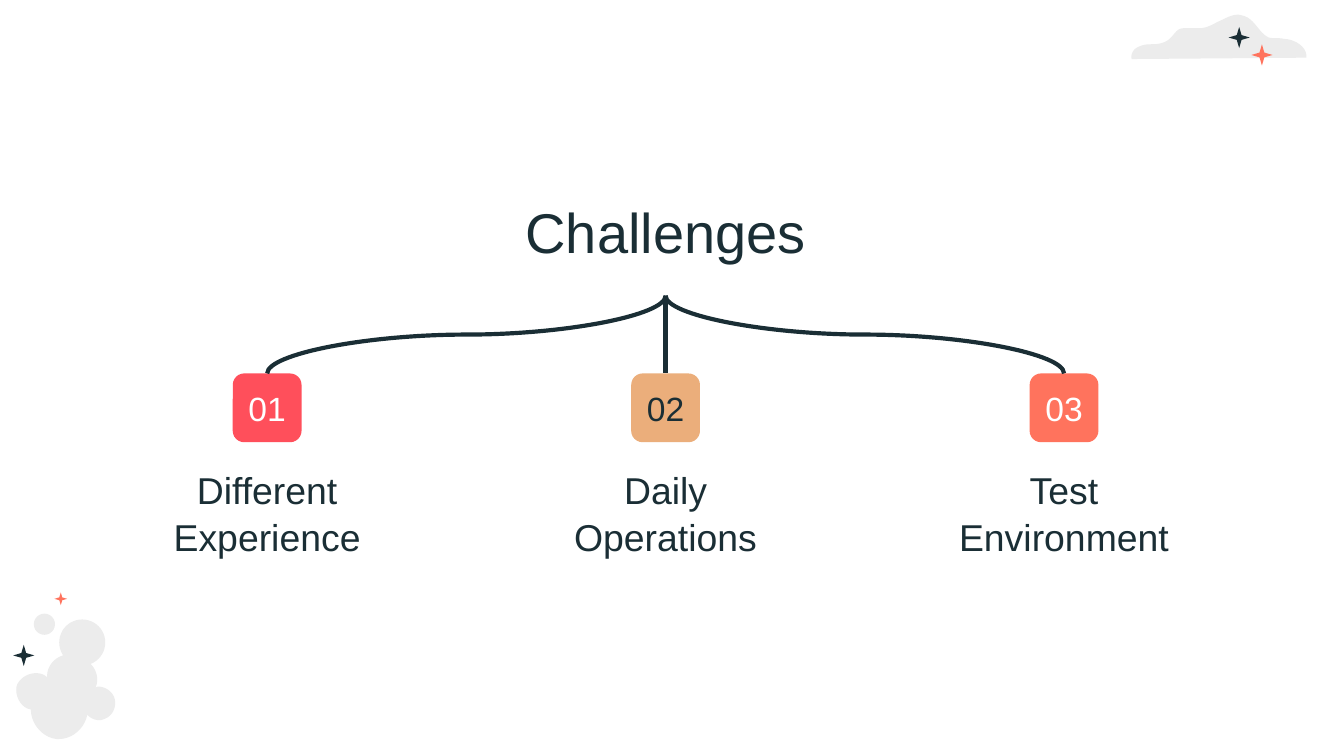
from dataclasses import dataclass

from lxml import etree
from pptx import Presentation, util as u
from pptx.dml.color import RGBColor
from pptx.enum import shapes, text
from pptx.oxml.ns import qn

COLORS = {"navy": "1A2E35", "red": "FF4F5B", "sand": "EBAE7B",
          "coral": "FF735D", "cloud": "ECECEC", "white": "FFFFFF"}
FONT = "Arial"
CENTER, PITCH = 12.58, 7.53
FORK_TOP, BADGE_TOP, BADGE_SIZE = 5.59, 7.06, 1.3
LABEL_TOP = 8.53
CLOUD_UNIT = 0.0254
CURVE_STEPS = 10


@dataclass
class Branch:
    number: str
    label: str
    fill: str
    ink: str
    width: float
    height: float


@dataclass
class Mark:
    kind: shapes.MSO_SHAPE
    left: float
    top: float
    size: float
    fill: str


@dataclass
class Cloud:
    start: tuple[int, int]
    curves: list[tuple[int, ...]]


BRANCHES = [
    Branch("01", "Different Experience", "red", "white", 6.2, 1.5),
    Branch("02", "Daily Operations", "sand", "navy", 5.46, 1.07),
    Branch("03", "Test Environment", "coral", "white", 5.46, 1.07),
]

MARKS = [
    Mark(shapes.MSO_SHAPE.OVAL, 1.12, 11.71, 0.87, "cloud"),
    Mark(shapes.MSO_SHAPE.OVAL, 0.64, 11.6, 0.4, "cloud"),
    Mark(shapes.MSO_SHAPE.STAR_4_POINT, 23.65, 0.84, 0.4, "coral"),
    Mark(shapes.MSO_SHAPE.STAR_4_POINT, 23.22, 0.51, 0.4, "navy"),
    Mark(shapes.MSO_SHAPE.STAR_4_POINT, 0.25, 12.19, 0.4, "navy"),
    Mark(shapes.MSO_SHAPE.STAR_4_POINT, 1.03, 11.2, 0.24, "coral"),
]

CLOUDS = [
    Cloud((972, 43), [
        (973, 35, 963, 29, 955, 29), (952, 28, 948, 29, 944, 28),
        (937, 25, 934, 15, 926, 12), (925, 12, 923, 11, 921, 11),
        (917, 11, 913, 13, 909, 15), (904, 17, 899, 21, 893, 21),
        (892, 21, 892, 21, 891, 21), (889, 21, 886, 21, 883, 21),
        (881, 21, 879, 21, 877, 22), (874, 24, 872, 28, 869, 30),
        (866, 32, 862, 33, 858, 33), (854, 33, 851, 33, 847, 35),
        (844, 36, 841, 40, 842, 44),
    ]),
    Cloud((51, 487), [
        (49, 487, 46, 488, 44, 489), (38, 492, 35, 498, 35, 504),
        (33, 502, 30, 501, 27, 501), (21, 501, 16, 504, 13, 509),
        (10, 516, 15, 527, 23, 528), (23, 539, 32, 549, 42, 550),
        (43, 550, 43, 550, 44, 550), (54, 550, 63, 542, 65, 532),
        (67, 534, 70, 536, 74, 536), (76, 536, 78, 535, 80, 534),
        (85, 531, 87, 524, 85, 519), (83, 514, 78, 511, 73, 511),
        (72, 511, 71, 512, 71, 512), (75, 504, 70, 493, 62, 491),
        (59, 488, 55, 487, 51, 487),
    ]),
]


def rgb(name: str) -> RGBColor:
    return RGBColor.from_string(COLORS[name])


def paint(sp, fill: str) -> None:
    sp.fill.solid()
    sp.fill.fore_color.rgb = rgb(fill)
    sp.line.fill.background()
    sp.shadow.inherit = False


def write(sp, content: str, *, size: int, color: str = "navy", inset: float = 0.25,
          anchor=text.MSO_ANCHOR.TOP, spacing: float = 1.05) -> None:
    tf = sp.text_frame
    tf.word_wrap = True
    tf.vertical_anchor = anchor
    tf.margin_left = tf.margin_right = tf.margin_top = tf.margin_bottom = u.Cm(inset)
    p = tf.paragraphs[0]
    p.alignment = text.PP_ALIGN.CENTER
    p.line_spacing = spacing
    r = p.add_run()
    r.text = content
    r.font.name = FONT
    r.font.size = u.Pt(size)
    r.font.color.rgb = rgb(color)


def add_label(s, content: str, center: float, top: float, width: float,
              height: float, size: int) -> None:
    sp = s.shapes.add_textbox(u.Cm(center - width / 2), u.Cm(top), u.Cm(width), u.Cm(height))
    write(sp, content, size=size)


def add_cloud(s, cloud: Cloud) -> None:
    points = [cloud.start]
    for x1, y1, x2, y2, x3, y3 in cloud.curves:
        x0, y0 = points[-1]
        for step in range(1, CURVE_STEPS + 1):
            t = step / CURVE_STEPS
            a, b, c, d = (1 - t) ** 3, 3 * t * (1 - t) ** 2, 3 * t * t * (1 - t), t ** 3
            points.append((a * x0 + b * x1 + c * x2 + d * x3,
                           a * y0 + b * y1 + c * y2 + d * y3))
    points = [(u.Cm(x * CLOUD_UNIT), u.Cm(y * CLOUD_UNIT)) for x, y in points]
    outline = s.shapes.build_freeform(*points[0], scale=1.0)
    outline.add_line_segments(points[1:], close=True)
    paint(outline.convert_to_shape(), "cloud")


def add_mark(s, mark: Mark) -> None:
    sp = s.shapes.add_shape(mark.kind, u.Cm(mark.left), u.Cm(mark.top),
                            u.Cm(mark.size), u.Cm(mark.size))
    if mark.kind == shapes.MSO_SHAPE.STAR_4_POINT:
        sp.adjustments[0] = 0.16
    paint(sp, mark.fill)


def add_badge(s, branch: Branch, center: float) -> None:
    sp = s.shapes.add_shape(shapes.MSO_SHAPE.ROUNDED_RECTANGLE,
                            u.Cm(center - BADGE_SIZE / 2), u.Cm(BADGE_TOP),
                            u.Cm(BADGE_SIZE), u.Cm(BADGE_SIZE))
    paint(sp, branch.fill)
    write(sp, branch.number, size=18, color=branch.ink, inset=0,
          anchor=text.MSO_ANCHOR.MIDDLE, spacing=1)


def add_fork_arm(s, target: float) -> None:
    drop, reach = BADGE_TOP - FORK_TOP, abs(target - CENTER)
    mid_x, mid_y = (CENTER + target) / 2, (FORK_TOP + BADGE_TOP) / 2
    side = -1 if target < CENTER else 1
    c = s.shapes.add_connector(
        shapes.MSO_CONNECTOR.CURVE,
        u.Cm(mid_x + side * drop / 2), u.Cm(mid_y - reach / 2),
        u.Cm(mid_x - side * drop / 2), u.Cm(mid_y + reach / 2))
    c.line.color.rgb = rgb("navy")
    c.line.width = u.Pt(2.25)
    props = c._element.spPr
    props.find(qn("a:xfrm")).set("rot", str((180 + side * 90) * 60000))
    etree.SubElement(props, qn("a:effectLst"))


def main() -> None:
    prs = Presentation()
    prs.slide_width, prs.slide_height = u.Cm(25.4), u.Cm(14.29)
    s = prs.slides.add_slide(prs.slide_layouts[6])
    for cloud in CLOUDS:
        add_cloud(s, cloud)
    for mark in MARKS:
        add_mark(s, mark)
    add_label(s, "Challenges", CENTER, 3.43, 6.38, 2.16, 30)
    for i, branch in enumerate(BRANCHES):
        center = CENTER + (i - 1) * PITCH
        add_label(s, branch.label, center, LABEL_TOP, branch.width, branch.height, 20)
        add_badge(s, branch, center)
        add_fork_arm(s, center)
    prs.save("out.pptx")


if __name__ == "__main__":
    main()
